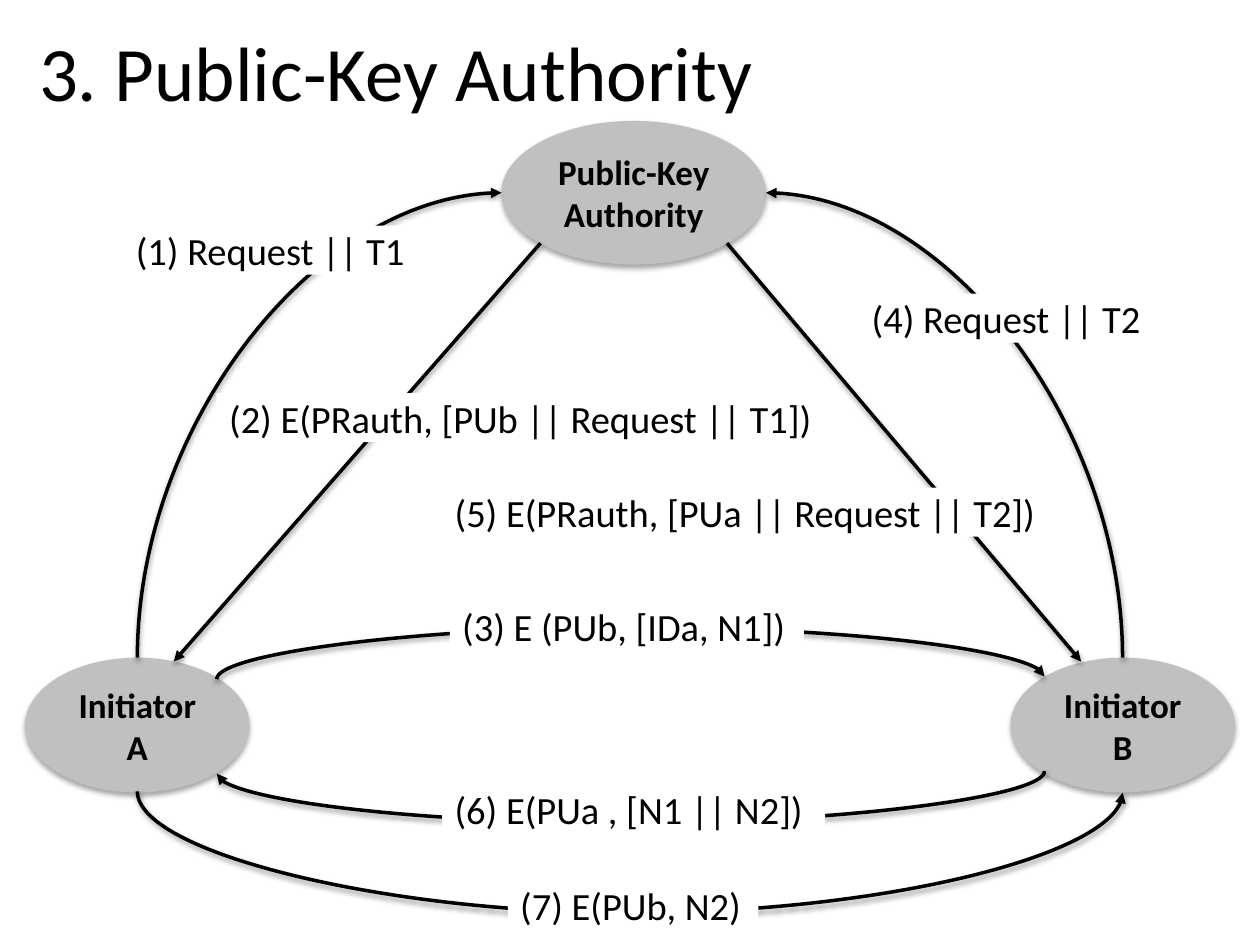
from lxml.etree import SubElement
from pptx import Presentation
from pptx.dml.color import RGBColor
from pptx.enum.shapes import MSO_CONNECTOR, MSO_SHAPE
from pptx.enum.text import MSO_ANCHOR, PP_ALIGN
from pptx.oxml.ns import qn
from pptx.util import Inches, Pt


def rgb(value):
    return RGBColor.from_string(value)


class Diagram:
    """Key-exchange diagram on a grid of 100 columns by 75 rows."""

    INK, NODE, PAPER = "000000", "C0C0C0", "FFFFFF"
    TITLE = {"size": Pt(44), "bold": False}
    NODE_TEXT = {"size": Pt(20), "bold": True}
    LABEL_TEXT = {"size": Pt(22), "bold": False}

    def __init__(self, prs):
        self.col = prs.slide_width / 100
        self.row = prs.slide_height / 75
        self.s = prs.slides.add_slide(prs.slide_layouts[5])

    def box(self, x, y, w, h):
        return [round(v) for v in (x * self.col, y * self.row, w * self.col, h * self.row)]

    def set_text(self, sp, text, style, align=PP_ALIGN.LEFT):
        tf = sp.text_frame
        tf.word_wrap = True
        tf.vertical_anchor = MSO_ANCHOR.MIDDLE
        tf.text = text
        for p in tf.paragraphs:
            p.alignment = align
            for r in p.runs:
                for name, value in {"name": "Calibri", **style}.items():
                    setattr(r.font, name, value)
                r.font.color.rgb = rgb(self.INK)

    def shadow(self, effects, alpha, distance):
        shade = SubElement(effects, qn("a:outerShdw"), blurRad=str(Pt(3.1)),
                           dist=str(Pt(distance)), dir="5400000", rotWithShape="0")
        color = SubElement(shade, qn("a:srgbClr"), val=self.INK)
        SubElement(color, qn("a:alpha"), val=str(alpha * 1000))

    def title(self, text, *area):
        sp = self.s.shapes.title
        sp.left, sp.top, sp.width, sp.height = self.box(*area)
        self.set_text(sp, text, self.TITLE)

    def shape(self, kind, fill, area):
        sp = self.s.shapes.add_shape(kind, *self.box(*area))
        sp.fill.solid()
        sp.fill.fore_color.rgb = rgb(fill)
        sp.line.fill.background()
        sp.shadow.inherit = False
        return sp

    def node(self, text, *area):
        sp = self.shape(MSO_SHAPE.OVAL, self.NODE, area)
        self.shadow(sp._element.spPr.find(qn("a:effectLst")), 35, 1.8)
        self.set_text(sp, text, self.NODE_TEXT, PP_ALIGN.CENTER)

    def label(self, text, x, y, w):
        sp = self.shape(MSO_SHAPE.RECTANGLE, self.PAPER, (x, y, w, 3.9))
        self.set_text(sp, text, self.LABEL_TEXT)

    def arrow(self, start, end, kind=MSO_CONNECTOR.STRAIGHT):
        sp = self.s.shapes.add_connector(kind, *self.box(*start, *end))
        sp.line.color.rgb = rgb(self.INK)
        sp.line.width = Pt(2)
        spPr = sp._element.spPr
        SubElement(spPr.find(qn("a:ln")), qn("a:tailEnd"), type="triangle")
        self.shadow(SubElement(spPr, qn("a:effectLst")), 38, 1.6)
        return spPr

    def curve(self, start, end, bend=None):
        """Leave vertically; with a bend row, also arrive vertically."""
        (x1, y1), (x2, y2) = start, end
        cx, cy = (x1 + x2) / 2, (y1 + y2) / 2
        w, h = abs(y2 - y1) / 2, abs(x2 - x1) / 2
        spPr = self.arrow((cx - w, cy - h), (cx + w, cy + h), MSO_CONNECTOR.CURVE)
        turn = {"rot": "5400000", "flipH": str(int(y2 < y1)), "flipV": str(int(x2 > x1))}
        for name, value in turn.items():
            spPr.find(qn("a:xfrm")).set(name, value)
        geom = spPr.find(qn("a:prstGeom"))
        if bend is None:
            geom.set("prst", "curvedConnector2")
        else:
            share = round((bend - y1) / (y2 - y1) * 100000)
            SubElement(geom.find(qn("a:avLst")), qn("a:gd"), name="adj1", fmla=f"val {share}")


def main():
    prs = Presentation()
    prs.slide_width, prs.slide_height = Inches(10), Inches(7.5)
    d = Diagram(prs)
    d.title("3. Public-Key Authority", 2.1, 1.2, 95.8, 8.8)
    d.node("Initiator\nA", 2, 52.2, 17.8, 10.7)
    d.node("Initiator\nB", 80.2, 52.2, 17.8, 10.7)
    d.curve((82.9, 61.2), (17.2, 61.4), 65.3)
    d.label("(6) E(PUa , [N1 || N2])", 35.1, 62.3, 30.4)
    d.node("Public-Key Authority", 39.8, 9.6, 21, 11.4)
    d.curve((10.9, 52.2), (39.8, 15.3))
    d.label("(1) Request || T1", 9.8, 17.9, 23.9)
    d.arrow((42.9, 19.3), (13.8, 52.5))
    d.label("(2) E(PRauth, [PUb || Request || T1])", 17.2, 31.2, 48.9)
    d.curve((89.1, 52.2), (60.8, 15.3))
    d.label("(4) Request || T2", 68.2, 23.3, 23.9)
    d.arrow((57.7, 19.3), (85.8, 52.5))
    d.label("(5) E(PRauth, [PUa || Request || T2])", 35.1, 38.7, 48.2)
    d.curve((17.2, 53.9), (82.9, 53.7), 49.8)
    d.label("(3) E (PUb, [IDa, N1])", 35.7, 47.7, 28.1)
    d.curve((10.9, 62.8), (89.1, 62.9), 72.6)
    d.label("(7) E(PUb, N2)", 40.3, 69.9, 19.9)
    prs.save("out.pptx")


if __name__ == "__main__":
    main()
